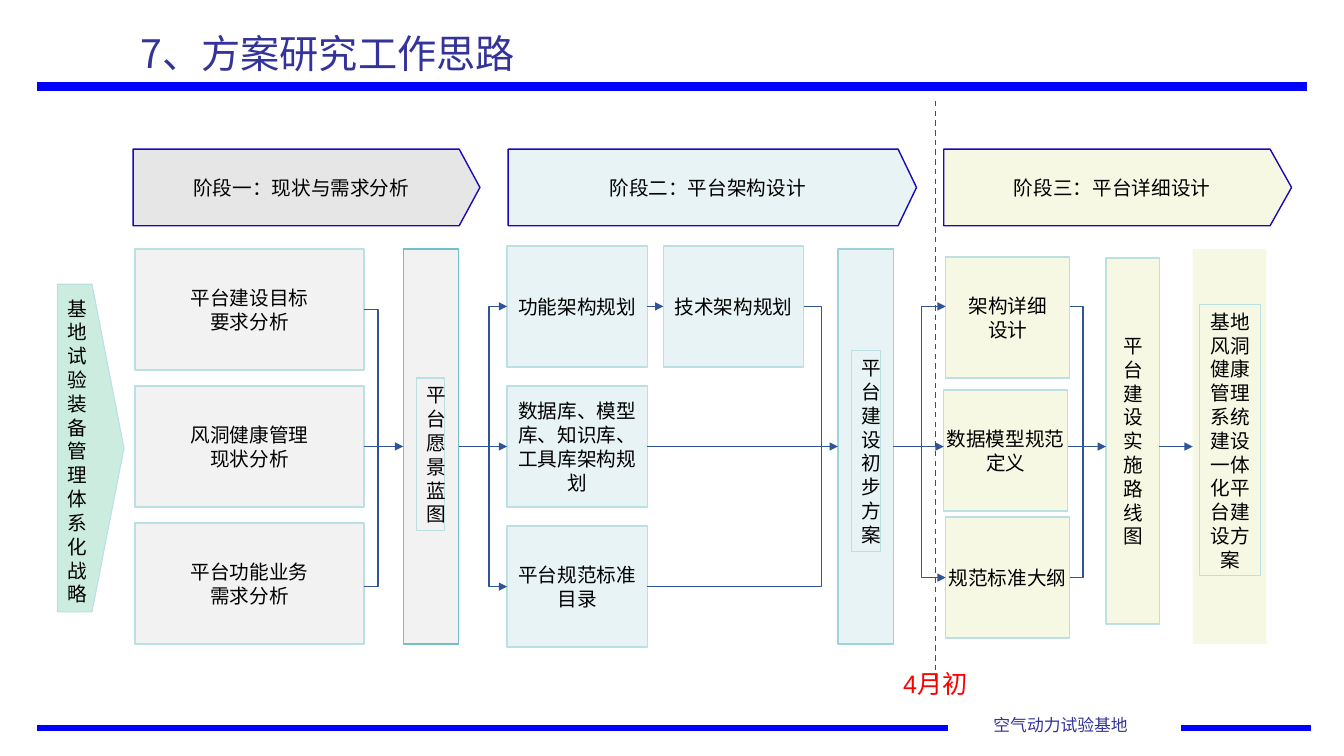
from dataclasses import dataclass
from typing import Optional

from lxml import etree
from pptx import Presentation
from pptx.dml.color import RGBColor
from pptx.enum.dml import MSO_LINE
from pptx.enum.shapes import MSO_CONNECTOR, MSO_SHAPE
from pptx.enum.text import MSO_ANCHOR, PP_ALIGN
from pptx.oxml.ns import qn
from pptx.util import Pt

EMU_PER_PX = 9144
RECT = MSO_SHAPE.RECTANGLE
PLATE = MSO_SHAPE.PENTAGON
STRAIGHT = MSO_CONNECTOR.STRAIGHT
ELBOW = MSO_CONNECTOR.ELBOW
DASH = MSO_LINE.DASH
TOP = MSO_ANCHOR.TOP
MIDDLE = MSO_ANCHOR.MIDDLE
LEFT = PP_ALIGN.LEFT
CENTER = PP_ALIGN.CENTER
LEFT_SITE, RIGHT_SITE = 1, 3

CJK = "Noto Sans CJK SC"
ARIAL = "Arial"
BLACK = RGBColor(0x00, 0x00, 0x00)
WHITE = RGBColor(0xFF, 0xFF, 0xFF)
RED = RGBColor(0xFF, 0x00, 0x00)
BLUE = RGBColor(0x00, 0x00, 0xFF)
INDIGO = RGBColor(0x33, 0x33, 0x99)
VIOLET = RGBColor(0x1A, 0x09, 0xB7)
FLOW = RGBColor(0x2F, 0x55, 0x97)
PALE_TEAL = RGBColor(0xBB, 0xE0, 0xE3)
MID_TEAL = RGBColor(0x9E, 0xD3, 0xD7)
DEEP_TEAL = RGBColor(0x72, 0xBF, 0xC5)
MINT = RGBColor(0xCB, 0xEC, 0xDE)
SILVER = RGBColor(0xE6, 0xE6, 0xE6)
GREY = RGBColor(0xF2, 0xF2, 0xF2)
ICE = RGBColor(0xE7, 0xF3, 0xF4)
CREAM = RGBColor(0xF7, 0xF8, 0xE4)

AXIS = 443
BRANCH_TOP, BRANCH_BOTTOM = 304, 582
CARD_H = 120
ARCH_X, ARCH_W, ARCH_PITCH = 503, 139, 139


@dataclass(frozen=True)
class Box:
    x: int
    y: int
    w: int
    h: int
    text: str = ""
    fill: Optional[RGBColor] = None
    outline: Optional[RGBColor] = None
    outline_pt: float = 1
    preset: Optional[MSO_SHAPE] = RECT
    tip: float = 0
    side_inset: int = 3
    anchor: MSO_ANCHOR = MIDDLE
    align: PP_ALIGN = CENTER
    size: int = 14
    font: str = CJK
    color: RGBColor = BLACK
    key: str = ""


@dataclass(frozen=True)
class Line:
    x1: int
    y1: int
    x2: int
    y2: int
    color: RGBColor = FLOW
    width: float = 1
    arrow: bool = False
    dashed: bool = False
    turn_x: Optional[int] = None
    source: str = ""
    target: str = ""


def px(value: int) -> int:
    return value * EMU_PER_PX


def write_text(frame, box: Box) -> None:
    frame.word_wrap = True
    frame.vertical_anchor = box.anchor
    frame.margin_left = frame.margin_right = px(box.side_inset)
    frame.margin_top = frame.margin_bottom = px(5)
    for index, line in enumerate(box.text.split("\n")):
        paragraph = frame.paragraphs[0] if index == 0 else frame.add_paragraph()
        paragraph.alignment = box.align
        if box.size == 14:
            paragraph.line_spacing = Pt(17)
        run = paragraph.add_run()
        run.text = line
        run.font.size = Pt(box.size)
        run.font.name = box.font
        run.font.color.rgb = box.color
        east_asian = etree.Element(qn("a:ea"), typeface=CJK)
        run.font.fill
        run._r.get_or_add_rPr().find(qn("a:latin")).addnext(east_asian)


def draw_box(slide, box: Box):
    frame_at = (px(box.x), px(box.y), px(box.w), px(box.h))
    if box.preset is None:
        shape = slide.shapes.add_textbox(*frame_at)
    else:
        shape = slide.shapes.add_shape(box.preset, *frame_at)
        shape.shadow.inherit = False
        if box.tip:
            shape.adjustments[0] = box.tip
        if box.fill is None:
            shape.fill.background()
        else:
            shape.fill.solid()
            shape.fill.fore_color.rgb = box.fill
        if box.outline is None:
            shape.line.fill.background()
        else:
            shape.line.color.rgb = box.outline
            shape.line.width = Pt(box.outline_pt)
    if box.text:
        write_text(shape.text_frame, box)
    return shape


def draw_line(slide, line: Line, boxes: dict) -> None:
    kind = STRAIGHT if line.turn_x is None else ELBOW
    connector = slide.shapes.add_connector(
        kind, px(line.x1), px(line.y1), px(line.x2), px(line.y2))
    if line.source:
        connector.begin_connect(boxes[line.source], RIGHT_SITE)
    if line.target:
        connector.end_connect(boxes[line.target], LEFT_SITE)
    connector.line.color.rgb = line.color
    connector.line.width = Pt(line.width)
    if line.dashed:
        connector.line.dash_style = DASH
    properties = connector.element.spPr
    if line.turn_x is not None:
        turn = round((line.turn_x - line.x1) / (line.x2 - line.x1) * 100000)
        guides = properties.find(qn("a:prstGeom")).find(qn("a:avLst"))
        etree.SubElement(guides, qn("a:gd"), name="adj1", fmla=f"val {turn}")
    if line.arrow:
        etree.SubElement(properties.find(qn("a:ln")), qn("a:tailEnd"), type="triangle")
    etree.SubElement(properties, qn("a:effectLst"))


def card(x: int, y: int, w: int, text: str, fill: RGBColor, key: str = "") -> Box:
    return Box(x, y, w, CARD_H, text, fill, PALE_TEAL, key=key)


def phase(x: int, w: int, text: str, fill: RGBColor, tip: float) -> Box:
    return Box(x, 148, w, 76, text, fill, VIOLET, preset=PLATE, tip=tip, side_inset=1)


def column_label(x: int, y: int, w: int, h: int, text: str, framed: bool) -> Box:
    return Box(x, y, w, h, text, outline=PALE_TEAL if framed else None, outline_pt=0.75,
               preset=RECT if framed else None, side_inset=10, anchor=TOP)


TITLE = Box(117, 24, 416, 67, "7、方案研究工作思路", side_inset=10, anchor=TOP,
            size=28, color=INDIGO)

BOXES = [
    Box(828, 704, 448, 30, "空气动力试验基地", WHITE, size=12, font=ARIAL, color=INDIGO),
    Box(57, 282, 66, 325, fill=MINT, outline=PALE_TEAL, outline_pt=0.75,
        preset=PLATE, tip=0.48),
    phase(132, 344, "阶段一：现状与需求分析", SILVER, 0.27),
    phase(504, 405, "阶段二：平台架构设计", ICE, 0.24),
    phase(936, 345, "阶段三：平台详细设计", CREAM, 0.28),
    card(134, 247, 227, "平台建设目标\n要求分析", GREY),
    card(134, 383, 227, "风洞健康管理\n现状分析", GREY, "status"),
    card(134, 519, 227, "平台功能业务\n需求分析", GREY),
    *[card(ARCH_X, 244 + row * ARCH_PITCH, ARCH_W, text, ICE, key)
      for row, (text, key) in enumerate([
          ("功能架构规划", "function"),
          ("数据库、模型库、知识库、工具库架构规划", "database"),
          ("平台规范标准目录", "standards")])],
    card(658, 244, ARCH_W, "技术架构规划", ICE, "technology"),
    card(938, 255, 123, "架构详细\n设计", CREAM),
    card(936, 387, 123, "数据模型规范定义", CREAM),
    card(938, 513, 123, "规范标准大纲", CREAM),
    Box(400, 247, 55, 392, fill=GREY, outline=DEEP_TEAL, key="vision"),
    Box(831, 247, 55, 392, fill=ICE, outline=MID_TEAL, key="preliminary"),
    Box(1097, 256, 53, 363, fill=CREAM, outline=PALE_TEAL),
    Box(1183, 247, 73, 392, fill=CREAM, key="solution"),
    column_label(57, 289, 35, 316, "基地试验装备管理体系化战略", False),
    column_label(413, 375, 28, 151, "平台愿景蓝图", True),
    column_label(845, 348, 28, 199, "平台建设初步方案", True),
    column_label(1104, 326, 40, 222, "平台建设实施路线图", False),
    column_label(1190, 302, 60, 269, "基地风洞健康管理系统建设一体化平台建设方案", True),
    Box(886, 658, 98, 40, "4月初", preset=None, side_inset=10, anchor=TOP, align=LEFT,
        size=18, font=ARIAL, color=RED),
]

LINES = [
    Line(37, 86, 1296, 86, BLUE, 6),
    Line(37, 722, 940, 722, BLUE, 4),
    Line(1171, 722, 1300, 722, BLUE, 4),
    Line(361, 307, 400, AXIS, arrow=True, turn_x=375, target="vision"),
    Line(361, AXIS, 389, AXIS, source="status"),
    Line(361, 582, 375, AXIS, turn_x=375),
    Line(455, AXIS, 503, AXIS, arrow=True, source="vision", target="database"),
    Line(485, AXIS, 503, BRANCH_TOP, arrow=True, turn_x=485, target="function"),
    Line(485, AXIS, 503, BRANCH_BOTTOM, arrow=True, turn_x=485, target="standards"),
    Line(642, BRANCH_TOP, 658, BRANCH_TOP, arrow=True, source="function",
         target="technology"),
    Line(642, AXIS, 831, AXIS, arrow=True, source="database", target="preliminary"),
    Line(797, BRANCH_TOP, 815, AXIS, turn_x=815, source="technology"),
    Line(642, BRANCH_BOTTOM, 815, AXIS, turn_x=815, source="standards"),
    Line(886, AXIS, 936, AXIS, arrow=True, source="preliminary"),
    Line(914, AXIS, 938, BRANCH_TOP, arrow=True, turn_x=914),
    Line(914, AXIS, 938, 573, arrow=True, turn_x=914),
    Line(1061, BRANCH_TOP, 1074, AXIS, turn_x=1074),
    Line(1061, 573, 1074, AXIS, turn_x=1074),
    Line(1059, AXIS, 1097, AXIS, arrow=True),
    Line(1150, AXIS, 1183, AXIS, arrow=True, target="solution"),
    Line(928, 100, 928, 675, RED, dashed=True),
]


def main() -> None:
    deck = Presentation()
    deck.slide_width, deck.slide_height = px(1333), px(750)
    slide = deck.slides.add_slide(deck.slide_layouts[5])
    title = slide.shapes.title
    title.left, title.top = px(TITLE.x), px(TITLE.y)
    title.width, title.height = px(TITLE.w), px(TITLE.h)
    write_text(title.text_frame, TITLE)
    drawn = {box.key: draw_box(slide, box) for box in BOXES}
    for line in LINES:
        draw_line(slide, line, drawn)
    deck.save("out.pptx")


if __name__ == "__main__":
    main()
